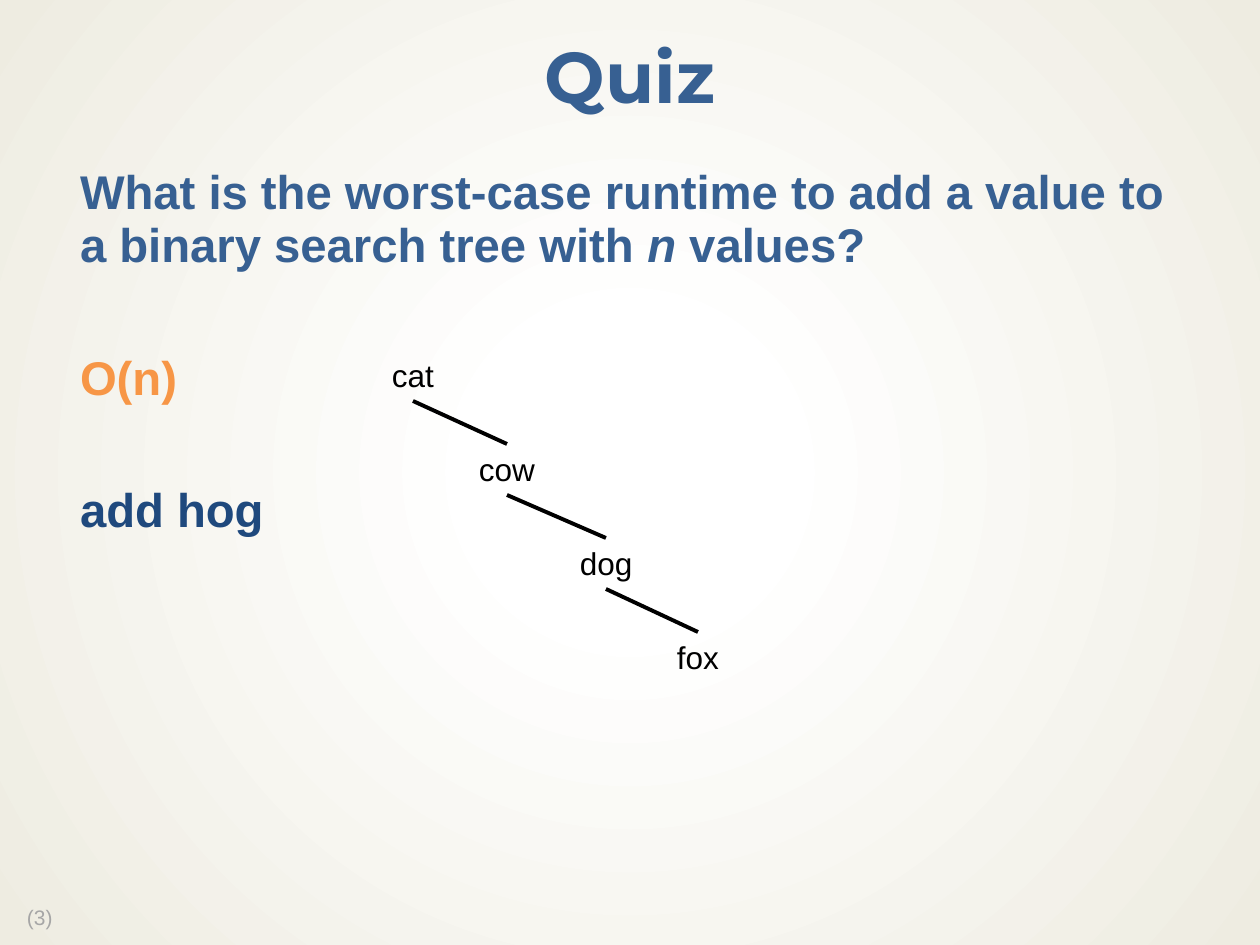
from dataclasses import dataclass

from lxml import etree
from pptx import Presentation
from pptx import util as u
from pptx.dml.color import RGBColor
from pptx.enum import shapes, text
from pptx.oxml import ns

PX = u.Inches(1) // 126


@dataclass(frozen=True)
class Theme:
    """Colours, fonts and type sizes of the quiz slide."""
    heading: str = "376092"
    answer: str = "F79646"
    task: str = "1F497D"
    ink: str = "000000"
    muted: str = "A6A6A6"
    glow: str = "FFFFFF"
    edge: str = "EEECE1"
    title_font: str = "Montserrat"
    body_font: str = "Arial"
    title_size: int = 41
    body_size: int = 27
    node_size: int = 18
    number_size: int = 12


THEME = Theme()


def place(shape, box):
    """Move a shape to a box given in px."""
    shape.left, shape.top, shape.width, shape.height = (PX * side for side in box)


def write(frame, lines, *, size, font=THEME.body_font, bold=False, align=text.PP_ALIGN.LEFT,
          anchor=text.MSO_ANCHOR.TOP, inset=(13, 6), wrap=True, spacing=1.0, gap=0, indent=0):
    """Write (colour, runs) lines into a frame; every second run is italic."""
    frame.auto_size = text.MSO_AUTO_SIZE.NONE
    frame.word_wrap = wrap
    frame.vertical_anchor = anchor
    frame.margin_left = frame.margin_right = PX * inset[0]
    frame.margin_top = frame.margin_bottom = PX * inset[1]
    for index, (colour, runs) in enumerate(lines):
        paragraph = frame.paragraphs[0] if index == 0 else frame.add_paragraph()
        properties = paragraph._p.get_or_add_pPr()
        properties.set("marL", str(PX * indent))
        properties.set("indent", "0")
        etree.SubElement(properties, ns.qn("a:buNone"))
        paragraph.alignment = align
        paragraph.line_spacing = spacing
        paragraph.space_before = u.Pt(gap if index else 0)
        for position, words in enumerate(runs):
            run = paragraph.add_run()
            run.text = words
            run.font.name, run.font.size = font, u.Pt(size)
            run.font.bold, run.font.italic = bold, position % 2 == 1
            run.font.color.rgb = RGBColor.from_string(colour)


def paint_background(slide):
    """Fill the background with a glow from the centre."""
    fill = slide.background.fill
    fill.gradient()
    for stop, position, colour in zip(fill.gradient_stops, (0.18, 1), (THEME.glow, THEME.edge)):
        stop.position = position
        stop.color.rgb = RGBColor.from_string(colour)
    gradient = slide.element.find(".//" + ns.qn("a:gradFill"))
    gradient.remove(gradient.find(ns.qn("a:lin")))
    circle = etree.SubElement(gradient, ns.qn("a:path"), path="circle")
    etree.SubElement(circle, ns.qn("a:fillToRect"), l="50000", t="50000", r="50000", b="50000")


def add_title(slide, box):
    """Fill the title placeholder."""
    title = slide.shapes.title
    place(title, box)
    write(title.text_frame, [(THEME.heading, ["Quiz"])], size=THEME.title_size,
          font=THEME.title_font, bold=True, align=text.PP_ALIGN.CENTER,
          anchor=text.MSO_ANCHOR.MIDDLE, inset=(16, 8), spacing=0.9)


def add_question(slide, box):
    """Fill the body placeholder with question, answer and task."""
    question = slide.placeholders[1]
    place(question, box)
    lines = [
        (THEME.heading, ["What is the worst-case runtime to add a value to a binary search tree with ",
                         "n", " values?"]),
        (THEME.answer, ["O(n)"]),
        (THEME.task, ["add hog"]),
    ]
    write(question.text_frame, lines, size=THEME.body_size, bold=True,
          inset=(15, 8), spacing=0.94, gap=45, indent=17)


def add_label(slide, box, words, **style):
    """Add a one-line text box."""
    label = slide.shapes.add_textbox(*(PX * side for side in box))
    write(label.text_frame, words, **style)


def add_branch(slide, start, end):
    """Join a parent to its child."""
    branch = slide.shapes.add_connector(
        shapes.MSO_CONNECTOR.STRAIGHT, *(PX * value for value in (*start, *end)))
    branch.line.color.rgb = RGBColor.from_string(THEME.ink)
    branch.line.width = u.Pt(2.25)
    etree.SubElement(branch._element.spPr, ns.qn("a:effectLst"))


def add_tree(slide, box):
    """Draw the right-leaning chain of nodes inside a box."""
    left, top, _, height = box
    node_height = 51
    animals = [("cat", 34, 68), ("cow", 128, 83), ("dog", 227, 78), ("fox", 319, 68)]
    step = (height - node_height) // (len(animals) - 1)
    nodes = [(name, left + centre, top + step * level, width)
             for level, (name, centre, width) in enumerate(animals)]
    for name, centre, y, width in nodes:
        add_label(slide, (centre - width // 2, y, width, node_height), [(THEME.ink, [name])],
                  size=THEME.node_size, wrap=False)
    for (_, x, y, _), (_, child_x, child_y, _) in zip(nodes, nodes[1:]):
        add_branch(slide, (x, y + node_height), (child_x, child_y))


def build():
    """Build and save the quiz slide."""
    deck = Presentation()
    deck.slide_width, deck.slide_height = PX * 1260, PX * 945
    slide = deck.slides.add_slide(deck.slide_layouts[1])
    paint_background(slide)
    add_label(slide, (14, 901, 70, 35), [(THEME.muted, ["(3)"])],
              size=THEME.number_size, spacing=0.9)
    add_title(slide, (0, 21, 1260, 118))
    add_question(slide, (48, 159, 1165, 710))
    add_tree(slide, (379, 350, 353, 333))
    deck.save("out.pptx")


if __name__ == "__main__":
    build()
